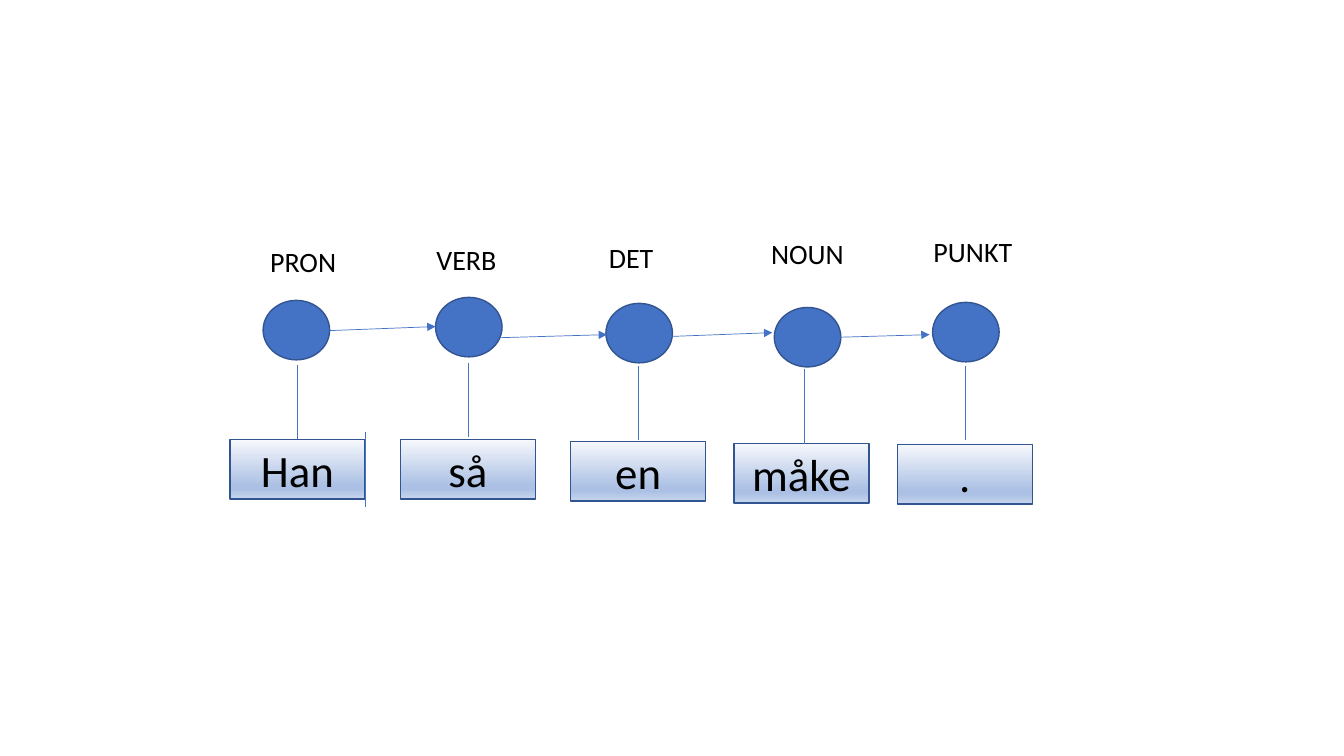
from dataclasses import dataclass

from lxml.etree import SubElement
from pptx import Presentation
from pptx.dml.color import RGBColor
from pptx.enum.shapes import MSO_CONNECTOR, MSO_SHAPE
from pptx.enum.text import MSO_ANCHOR, MSO_AUTO_SIZE, PP_ALIGN
from pptx.oxml.ns import qn
from pptx.util import Inches, Pt

FONT = "Calibri"
BLACK, BLUE, OUTLINE = "000000", "4472C4", "325491"
WORD_GRADIENT = [(0, "F6F8FC"), (78, "ABC0E4"), (83, "ABC0E4"), (100, "C7D5ED")]
WORD_WIDTH, STATE_WIDTH, SHAPE_HEIGHT = 1.34, 0.66, 0.59
STEM_LENGTH, TAG_HEIGHT = 0.74, 0.44

Point = tuple[float, float]


@dataclass
class Token:
    word: str
    word_at: Point
    state_at: Point
    stem_from: Point
    tag: str
    tag_at: Point
    tag_width: float
    tag_wraps: bool = True


@dataclass
class Line:
    start: Point
    end: Point


TOKENS = [
    Token("Han", (2.28, 4.36), (2.61, 2.98), (2.95, 3.62), "PRON", (2.58, 2.38), 1.25),
    Token("så", (3.97, 4.36), (4.32, 2.95), (4.65, 3.6), "VERB", (4.23, 2.36), 0.8),
    Token("en", (5.66, 4.38), (6.01, 3.01), (6.33, 3.63), "DET", (5.94, 2.34), 0.7),
    Token("måke", (7.28, 4.4), (7.68, 3.05), (7.98, 3.66), "NOUN", (7.55, 2.3), 0.93, False),
    Token(".", (8.9, 4.41), (9.25, 3), (9.57, 3.63), "PUNKT", (9.16, 2.28), 0.99, False),
]
EDGE_MARK_FROM = (3.62, 4.29)
TRANSITIONS = [
    Line((3.27, 3.28), (4.32, 3.24)),
    Line((4.96, 3.35), (6.02, 3.32)),
    Line((6.6, 3.34), (7.66, 3.3)),
    Line((8.17, 3.35), (9.22, 3.32)),
]


def color(value: str) -> RGBColor:
    return RGBColor.from_string(value)


def add_text(paragraph, text: str, size: float) -> None:
    run = paragraph.add_run()
    run.text = text
    run.font.name = FONT
    run.font.size = Pt(size)
    run.font.color.rgb = color(BLACK)


def add_outlined_shape(slide, kind: MSO_SHAPE, at: Point, width: float):
    shape = slide.shapes.add_shape(
        kind, Inches(at[0]), Inches(at[1]), Inches(width), Inches(SHAPE_HEIGHT))
    shape.shadow.inherit = False
    shape.line.color.rgb = color(OUTLINE)
    shape.line.width = Pt(1)
    return shape


def fill_gradient(shape, stops: list[tuple[int, str]]) -> None:
    shape.fill.gradient()
    shape.fill.gradient_angle = 270
    stop_list = shape.fill._fill._gradFill.find(qn("a:gsLst"))
    for old_stop in list(stop_list):
        stop_list.remove(old_stop)
    for percent, value in stops:
        stop = SubElement(stop_list, qn("a:gs"), pos=str(percent * 1000))
        SubElement(stop, qn("a:srgbClr"), val=value)


def add_word(slide, token: Token) -> None:
    shape = add_outlined_shape(slide, MSO_SHAPE.RECTANGLE, token.word_at, WORD_WIDTH)
    fill_gradient(shape, WORD_GRADIENT)
    shape.text_frame.vertical_anchor = MSO_ANCHOR.MIDDLE
    paragraph = shape.text_frame.paragraphs[0]
    paragraph.alignment = PP_ALIGN.CENTER
    add_text(paragraph, token.word, 32)


def add_state(slide, token: Token) -> None:
    shape = add_outlined_shape(slide, MSO_SHAPE.OVAL, token.state_at, STATE_WIDTH)
    shape.fill.solid()
    shape.fill.fore_color.rgb = color(BLUE)


def add_tag(slide, token: Token) -> None:
    left, top = token.tag_at
    text_box = slide.shapes.add_textbox(
        Inches(left), Inches(top), Inches(token.tag_width), Inches(TAG_HEIGHT))
    text_box.text_frame.word_wrap = token.tag_wraps
    text_box.text_frame.auto_size = MSO_AUTO_SIZE.SHAPE_TO_FIT_TEXT
    add_text(text_box.text_frame.paragraphs[0], token.tag, 20)


def add_line(slide, line: Line, arrow: bool = False) -> None:
    connector = slide.shapes.add_connector(
        MSO_CONNECTOR.STRAIGHT, *(Inches(value) for value in line.start + line.end))
    connector.line.color.rgb = color(BLUE)
    connector.line.width = Pt(0.5)
    if arrow:
        SubElement(connector.line._get_or_add_ln(), qn("a:tailEnd"), type="triangle")
    SubElement(connector._element.spPr, qn("a:effectLst"))


def add_stem(slide, start: Point) -> None:
    add_line(slide, Line(start, (start[0], start[1] + STEM_LENGTH)))


def main() -> None:
    presentation = Presentation()
    presentation.slide_width = Inches(13.33)
    presentation.slide_height = Inches(7.5)
    slide = presentation.slides.add_slide(presentation.slide_layouts[6])

    # Words and the stems that tie them to their states
    for token in TOKENS:
        add_word(slide, token)
    for token in TOKENS:
        add_stem(slide, token.stem_from)
    add_stem(slide, EDGE_MARK_FROM)

    # States and the transitions between them
    for token in TOKENS:
        add_state(slide, token)
    for transition in TRANSITIONS:
        add_line(slide, transition, arrow=True)

    # Part-of-speech tags
    for token in TOKENS:
        add_tag(slide, token)

    presentation.save("out.pptx")


if __name__ == "__main__":
    main()
